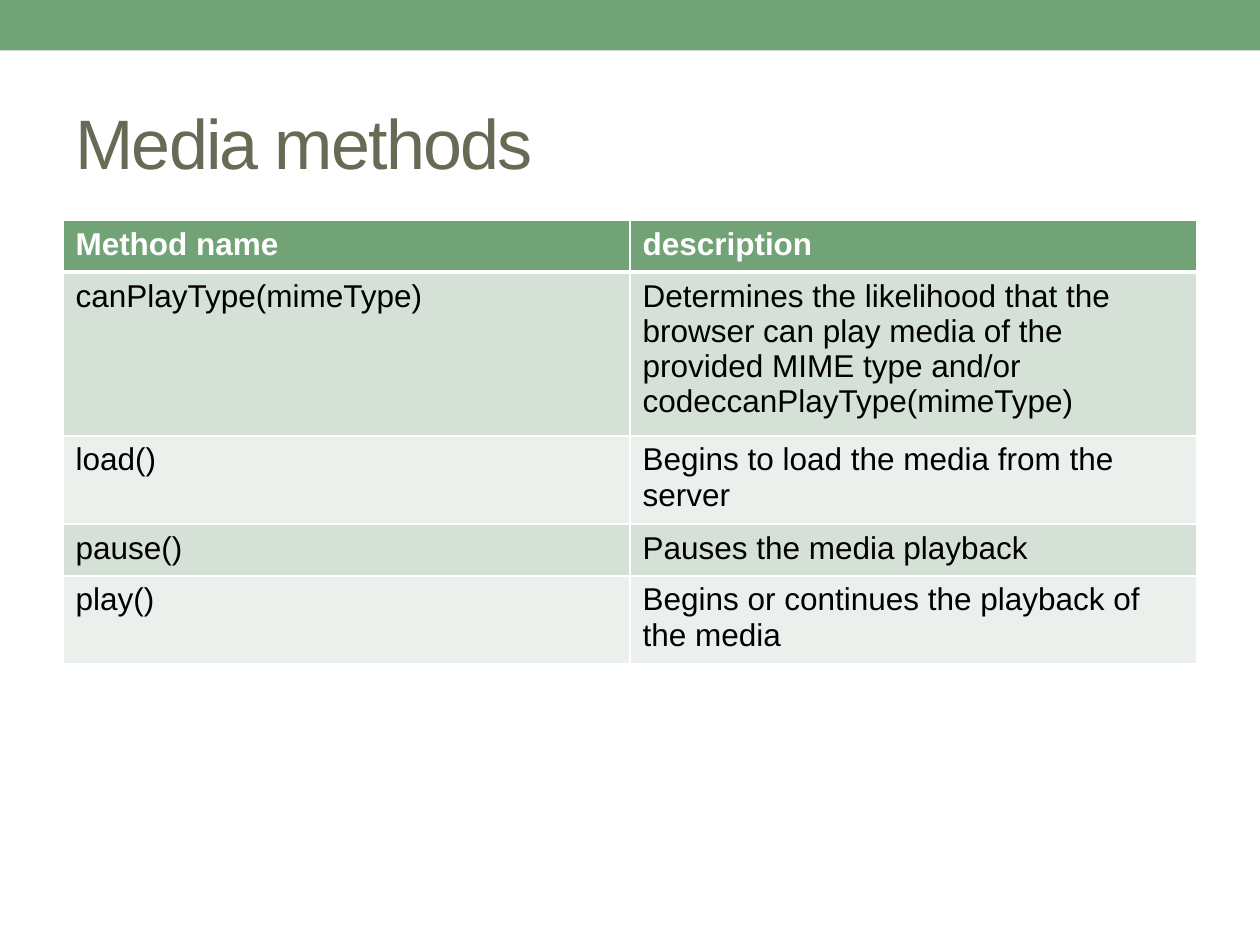
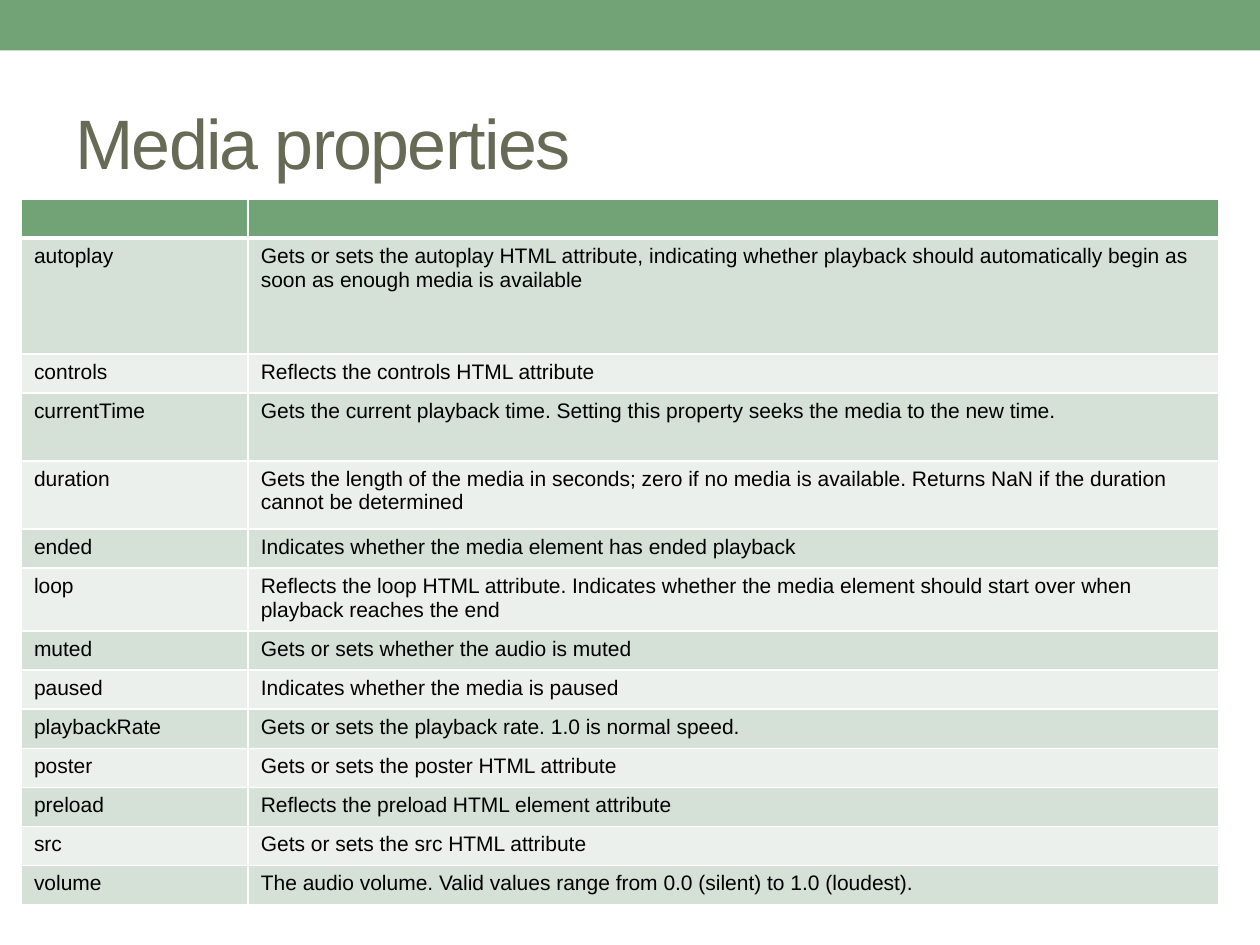
import pptx
import pptx.util
import pptx.dml.color
import pptx.enum.shapes
import pptx.enum.text
import pptx.oxml.ns
from lxml import etree
from pptx.util import Inches

# Content: the first row of each table is its header; row = (height, name, description)
SLIDES = [
    {
        "title": "Media methods", "at": (0.5, 1.75), "cols": (4.5, 4.5), "size": 18,
        "rows": [
            (0.41, "Method name", "description"),
            (1.22, "canPlayType(mimeType)",
             "Determines the likelihood that the browser can play media of the\n"
             "provided MIME type and/or codeccanPlayType(mimeType)"),
            (0.66, "load()", "Begins to load the media from the server"),
            (0.41, "pause()", "Pauses the media playback"),
            (0.66, "play()", "Begins or continues the playback of the media"),
        ],
    },
    {
        "title": "Media properties", "at": (0.17, 1.58), "cols": (1.8, 7.7), "size": 12,
        "rows": [
            (0.31, "", ""),
            (0.92, "autoplay",
             "Gets or sets the autoplay HTML attribute, indicating whether playback "
             "should automatically begin as soon as enough media is available"),
            (0.31, "controls", "Reflects the controls HTML attribute"),
            (0.54, "currentTime",
             "Gets the current playback time. Setting this property seeks the media "
             "to the new time."),
            (0.54, "duration",
             "Gets the length of the media in seconds; zero if no media is available. "
             "Returns NaN if the duration cannot be determined"),
            (0.31, "ended", "Indicates whether the media element has ended playback"),
            (0.47, "loop",
             "Reflects the loop HTML attribute. Indicates whether the media element "
             "should start over when playback reaches the end"),
            (0.31, "muted", "Gets or sets whether the audio is muted"),
            (0.31, "paused", "Indicates whether the media is paused"),
            (0.31, "playbackRate", "Gets or sets the playback rate. 1.0 is normal speed."),
            (0.31, "poster", "Gets or sets the poster HTML attribute"),
            (0.31, "preload", "Reflects the preload HTML element attribute"),
            (0.31, "src", "Gets or sets the src HTML attribute"),
            (0.31, "volume",
             "The audio volume. Valid values range from 0.0 (silent) to 1.0 (loudest)."),
        ],
    },
]

# Shared style
FONT = "Arial"
GREEN, DARK, WHITE, BLACK = "72A376", "676A55", "FFFFFF", "000000"
STRIPES = ("EBF0EC", "D5E0D6")


def rgb(color):
    return pptx.dml.color.RGBColor.from_string(color)


def fill(part, color):
    part.fill.solid()
    part.fill.fore_color.rgb = rgb(color)


def sub(parent, tag, **attrs):
    return etree.SubElement(parent, pptx.oxml.ns.qn(tag), **attrs)


def style(p, size, color, bold=False):
    p.font.name, p.font.size, p.font.bold = FONT, pptx.util.Pt(size), bold
    p.font.color.rgb = rgb(color)


def add_band(s):
    band = s.shapes.add_shape(pptx.enum.shapes.MSO_SHAPE.RECTANGLE,
                              0, 0, Inches(10), Inches(0.4))
    band.shadow.inherit = False
    fill(band, GREEN)
    band.line.fill.background()


def add_title(s, text):
    tf = s.shapes.add_textbox(Inches(0.5), Inches(0.58), Inches(9), Inches(1.08)).text_frame
    tf.word_wrap = True
    tf.vertical_anchor = pptx.enum.text.MSO_ANCHOR.MIDDLE
    p = tf.paragraphs[0]
    r = p.add_run()
    r.text = text
    style(p, 40, DARK)
    r.font._element.set("spc", "-100")


def set_borders(cell, row):
    # The rule under the header is three points wide, all others one
    widths = {"L": 1, "R": 1, "T": 3 if row == 1 else 1, "B": 3 if row == 0 else 1}
    tcPr = cell._tc.get_or_add_tcPr()
    for side, width in widths.items():
        ln = sub(tcPr, "a:ln" + side, w=str(pptx.util.Pt(width)))
        sub(sub(ln, "a:solidFill"), "a:srgbClr", val=WHITE)


def fill_cell(cell, text, row, size):
    header = row == 0
    set_borders(cell, row)
    fill(cell, GREEN if header else STRIPES[row % 2])
    cell.text_frame.text = text
    for p in cell.text_frame.paragraphs:
        style(p, size, WHITE if header else BLACK, header)
        if not text:
            # An empty cell keeps the table's text size
            sub(p._p, "a:endParaRPr", sz=str(size * 100))


def add_table(s, at, cols, rows, size):
    left, top = at
    height = sum(row[0] for row in rows)
    table = s.shapes.add_table(len(rows), len(cols), Inches(left), Inches(top),
                               Inches(sum(cols)), Inches(height)).table
    table.horz_banding = False
    for column, width in zip(table.columns, cols):
        column.width = Inches(width)
    for i, (row_height, *texts) in enumerate(rows):
        table.rows[i].height = Inches(row_height)
        for j, text in enumerate(texts):
            fill_cell(table.cell(i, j), text, i, size)


def main():
    prs = pptx.Presentation()
    prs.slide_width, prs.slide_height = Inches(10), Inches(7.5)
    for content in SLIDES:
        s = prs.slides.add_slide(prs.slide_layouts[6])
        add_band(s)
        add_title(s, content["title"])
        add_table(s, content["at"], content["cols"], content["rows"], content["size"])
    prs.save("out.pptx")


if __name__ == "__main__":
    main()
